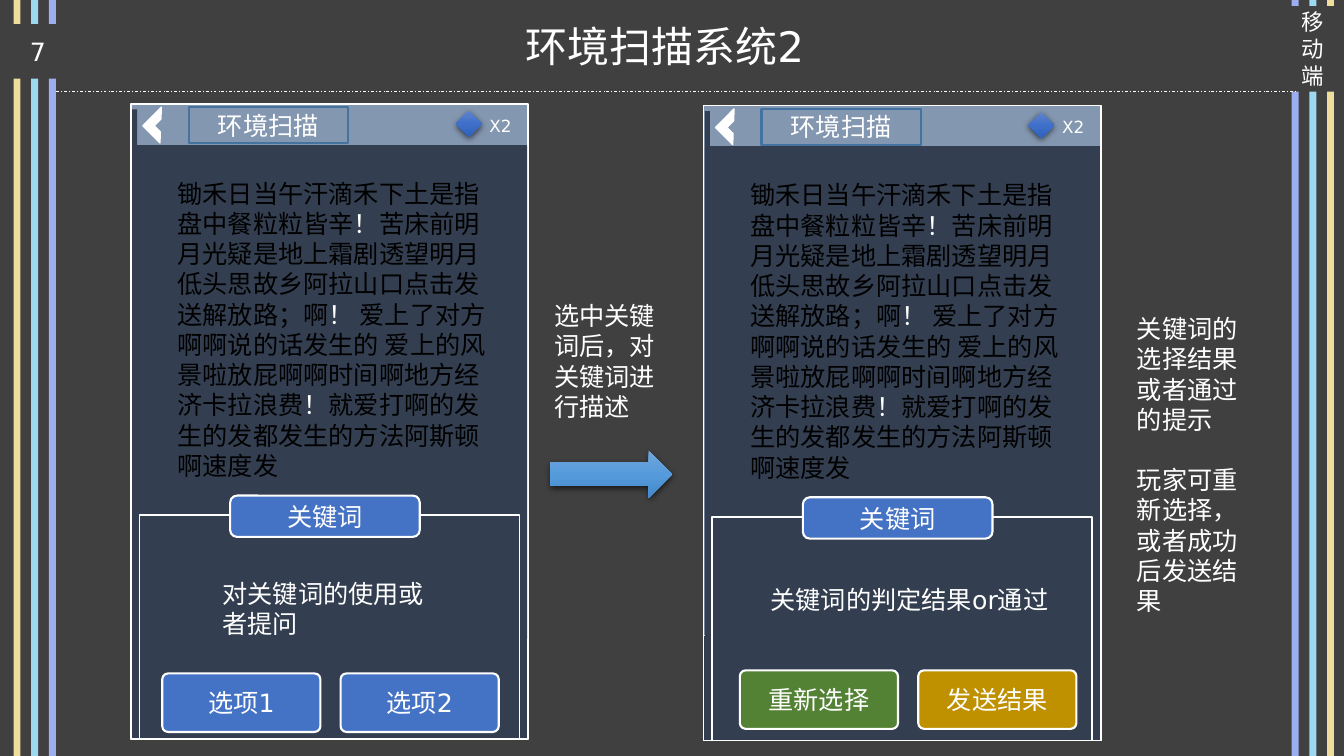
from dataclasses import dataclass
from lxml import etree
from pptx import Presentation
from pptx import util as u
from pptx.dml.color import RGBColor
from pptx.enum import dml, shapes, text
from pptx.oxml.ns import qn


@dataclass(frozen=True)
class Theme:
    font: str = "DejaVu Sans"
    title: int = 30
    body: int = 18
    side: int = 16
    small: int = 12
    back: str = "404040"
    white: str = "FFFFFF"
    black: str = "000000"
    screen: str = "333F50"
    header: str = "8497B0"
    frame: str = "43739E"
    blue: str = "4472C4"
    green: str = "548235"
    gold: str = "BF9000"
    stripes: tuple = ("EFDD9C", "9CD8F0", "9CAEF0")
    gem: tuple = ("6183CB", "3E70CA", "3062BB")
    arrow: tuple = ("71A6DB", "559BDB", "448ACA")


T = Theme()
G = shapes.MSO_SHAPE
A = text.PP_ALIGN
rgb = RGBColor.from_string

prs = Presentation()
prs.slide_width, prs.slide_height = u.Pt(960), u.Pt(540)
s = prs.slides.add_slide(prs.slide_layouts[5])
s.background.fill.solid()
s.background.fill.fore_color.rgb = rgb(T.back)


def add_box(kind, x, y, w, h, fill=None, line=None, weight=1, words="", size=T.body, align=A.CENTER):
    area = [u.Pt(v) for v in (x, y, w, h)]
    if kind is None:
        sp = s.shapes.add_textbox(*area)
    else:
        sp = s.shapes.add_shape(kind, *area)
        sp.shadow.inherit = False
        sp.text_frame.vertical_anchor = text.MSO_ANCHOR.MIDDLE
        if fill:
            sp.fill.solid()
            sp.fill.fore_color.rgb = rgb(fill)
        else:
            sp.fill.background()
        if line:
            sp.line.color.rgb = rgb(line)
            sp.line.width = u.Pt(weight)
        else:
            sp.line.fill.background()
    tf = sp.text_frame
    tf.word_wrap = True
    if words:
        tf.text = words
        for p in tf.paragraphs:
            p.alignment = align
            for r in p.runs:
                r.font.name, r.font.size = T.font, u.Pt(size)
                r.font.color.rgb = rgb(T.white)
    return sp


def add_glossy(kind, x, y, w, h, colors):
    sp = add_box(kind, x, y, w, h)
    sp.fill.gradient()
    sp.fill.gradient_angle = 270
    stops = sp._element.spPr.find(".//" + qn("a:gsLst"))
    for stop in list(stops):
        stops.remove(stop)
    for pos, color in zip((0, 50000, 100000), colors):
        stop = etree.SubElement(stops, qn("a:gs"), pos=str(pos))
        etree.SubElement(stop, qn("a:srgbClr"), val=color)
    effects = sp._element.spPr.find(qn("a:effectLst"))
    shadow = etree.SubElement(effects, qn("a:outerShdw"), blurRad="57150", dist="19050",
                              dir="5400000", algn="ctr", rotWithShape="0")
    color = etree.SubElement(shadow, qn("a:srgbClr"), val=T.black)
    etree.SubElement(color, qn("a:alpha"), val="63000")


for i, color in enumerate(T.stripes):
    for x in (9.7 + 12.6 * i, 947.9 - 12.6 * i):
        add_box(G.RECTANGLE, x, 0, 5, 540, color)

title = s.shapes.title
title.left, title.top, title.width, title.height = (u.Pt(v) for v in (298.8, 10, 352, 46))
tf = title.text_frame
tf.text = "环境扫描系统2"
tf.vertical_anchor = text.MSO_ANCHOR.MIDDLE
tf.auto_size = text.MSO_AUTO_SIZE.NONE
p = tf.paragraphs[0]
p.alignment = A.CENTER
r = p.runs[0]
r.font.name, r.font.size = T.font, u.Pt(T.title)
r.font.color.rgb = rgb(T.white)

add_box(G.RECTANGLE, 0, 17.3, 54, 38.9, T.back, words="7")
add_box(G.RECTANGLE, 915.1, 4.3, 44.6, 61.2, T.back, words="移动端", size=T.side)

story = [
    "锄禾日当午汗滴禾下土是指盘中餐粒粒皆辛", "！",
    "苦床前明月光疑是地上霜剧透望明月低头思故乡阿拉山口点击发送解放路；啊", "！",
    " 爱上了对方啊啊说的话发生的 爱上的风景啦放屁啊啊时间啊地方经济卡拉浪费", "！",
    "就爱打啊的发生的发都发生的方法阿斯顿啊速度发",
]
phones = [
    (93.6, 74.2, "对关键词的使用或者提问", (58.3, 335.5, 170, 51), A.LEFT,
     22.3, 406.8, (("选项1", T.blue), ("选项2", T.blue))),
    (502.7, 75.4, "关键词的判定结果or通过", (37.4, 338.6, 219, 28.8), A.CENTER,
     25.8, 403.4, (("重新选择", T.green), ("发送结果", T.gold))),
]
rules = [(40.3, 65.5, 925.2, T.white, 0.5, dml.MSO_LINE.DASH_DOT)]

for x, y, prompt, area, align, button_x, button_y, buttons in phones:
    add_box(G.RECTANGLE, x, y, 283.7, 453.6, T.header, T.white)
    add_box(G.RECTANGLE, x, y + 378.7, 283.7, 74.9, T.screen, T.white)
    add_box(G.RECTANGLE, x + 0.7, y + 4, 3.6, 378, T.screen)
    add_box(G.RECTANGLE, x + 0.7, y + 30.2, 282.2, 352, T.screen)
    rules.append((x + 0.7, y + 30.2, x + 283, T.screen, 2.25, dml.MSO_LINE.SOLID))
    caption = add_box(G.ROUNDED_RECTANGLE, x + 41.2, y + 2.2, 113.8, 26, None, T.frame, 1.5, "环境扫描")
    caption.adjustments[0] = 0
    back = add_box(G.HALF_FRAME, x + 11.8, y + 6.5, 18.7, 17.3, T.white, T.white)
    back.rotation = 315
    add_box(G.RECTANGLE, x + 6, y + 293.8, 271.4, 159.8, T.screen, T.white)

    sp = add_box(None, x + 26.2, y + 49.4, 234.7, 225.4)
    p = sp.text_frame.paragraphs[0]
    for part in story:
        r = p.add_run()
        r.text = part
        r.font.name, r.font.size = T.font, u.Pt(T.body)
        r.font.color.rgb = rgb(T.white if part == "！" else T.black)

    add_glossy(G.DIAMOND, x + 231.8, y + 4.8, 18.7, 18.7, T.gem)
    add_box(None, x + 248.8, y + 4.8, 46.8, 21.6, words="X2", size=T.small, align=A.LEFT)
    add_box(G.ROUNDED_RECTANGLE, x + 70.8, y + 279.8, 135.4, 29.5, T.blue, T.white, 1.5, "关键词")
    dx, dy, w, h = area
    add_box(None, x + dx, y + dy, w, h, words=prompt, align=align)
    for i, (label, color) in enumerate(buttons):
        button = add_box(G.ROUNDED_RECTANGLE, x + button_x + 127.4 * i, y + button_y, 113, 41.8,
                         color, T.white, 1.5, label)
        button.adjustments[0] = 0.1

for x, y, end, color, weight, dash in rules:
    rule = s.shapes.add_connector(shapes.MSO_CONNECTOR.STRAIGHT, u.Pt(x), u.Pt(y), u.Pt(end), u.Pt(y))
    rule.line.color.rgb = rgb(color)
    rule.line.width = u.Pt(weight)
    rule.line.dash_style = dash
    etree.SubElement(rule._element.spPr, qn("a:effectLst"))

add_box(None, 388.8, 211, 102.2, 94.3, words="选中关键词后，对关键词进行描述", align=A.LEFT)
notes = add_box(None, 805, 220.3, 102.2, 225.4,
                words="关键词的选择结果或者通过的提示\n玩家可重新选择，或者成功后发送结果", align=A.LEFT)
notes.text_frame.paragraphs[1].space_before = u.Pt(21.6)
add_glossy(G.RIGHT_ARROW, 393.1, 321.8, 87.1, 33.8, T.arrow)

prs.save("out.pptx")
